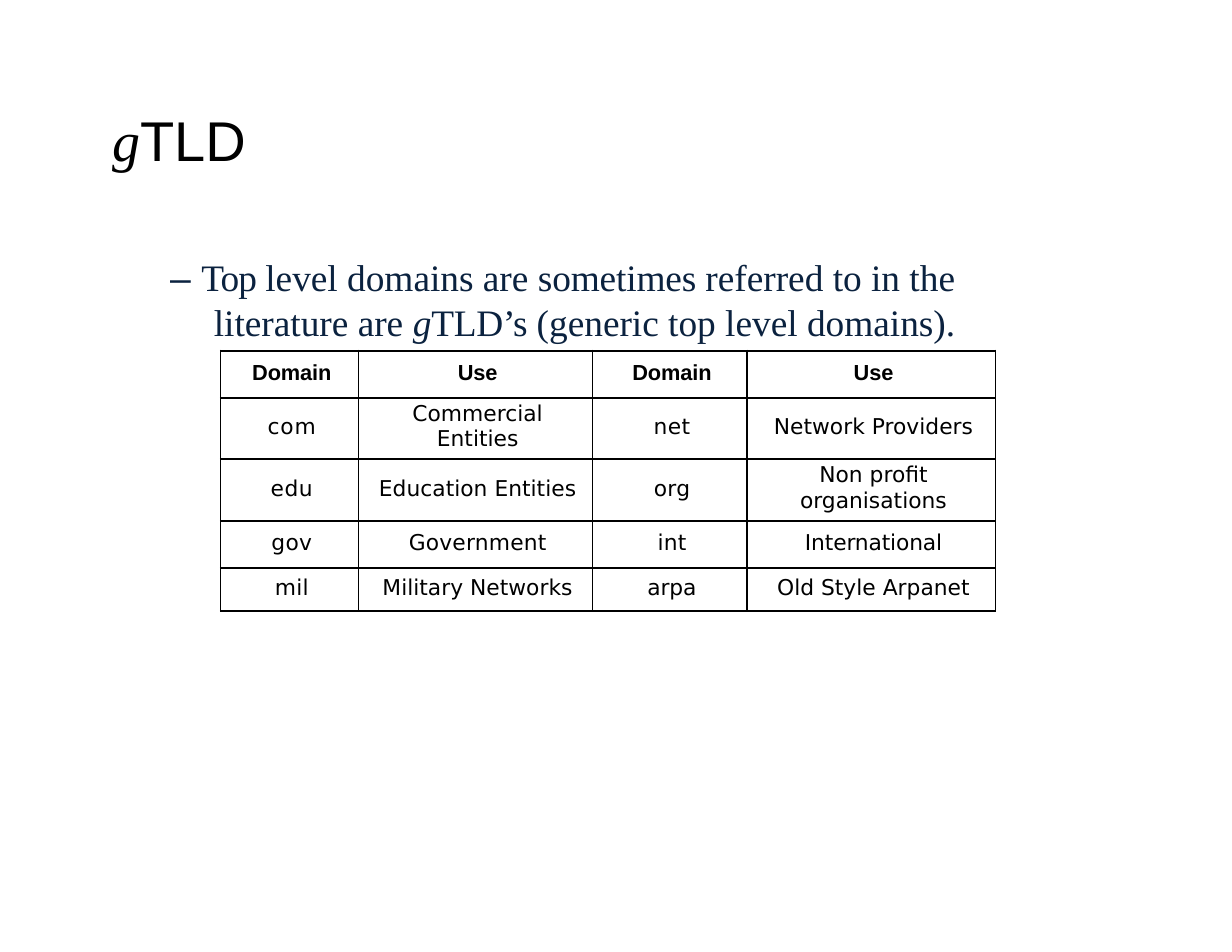
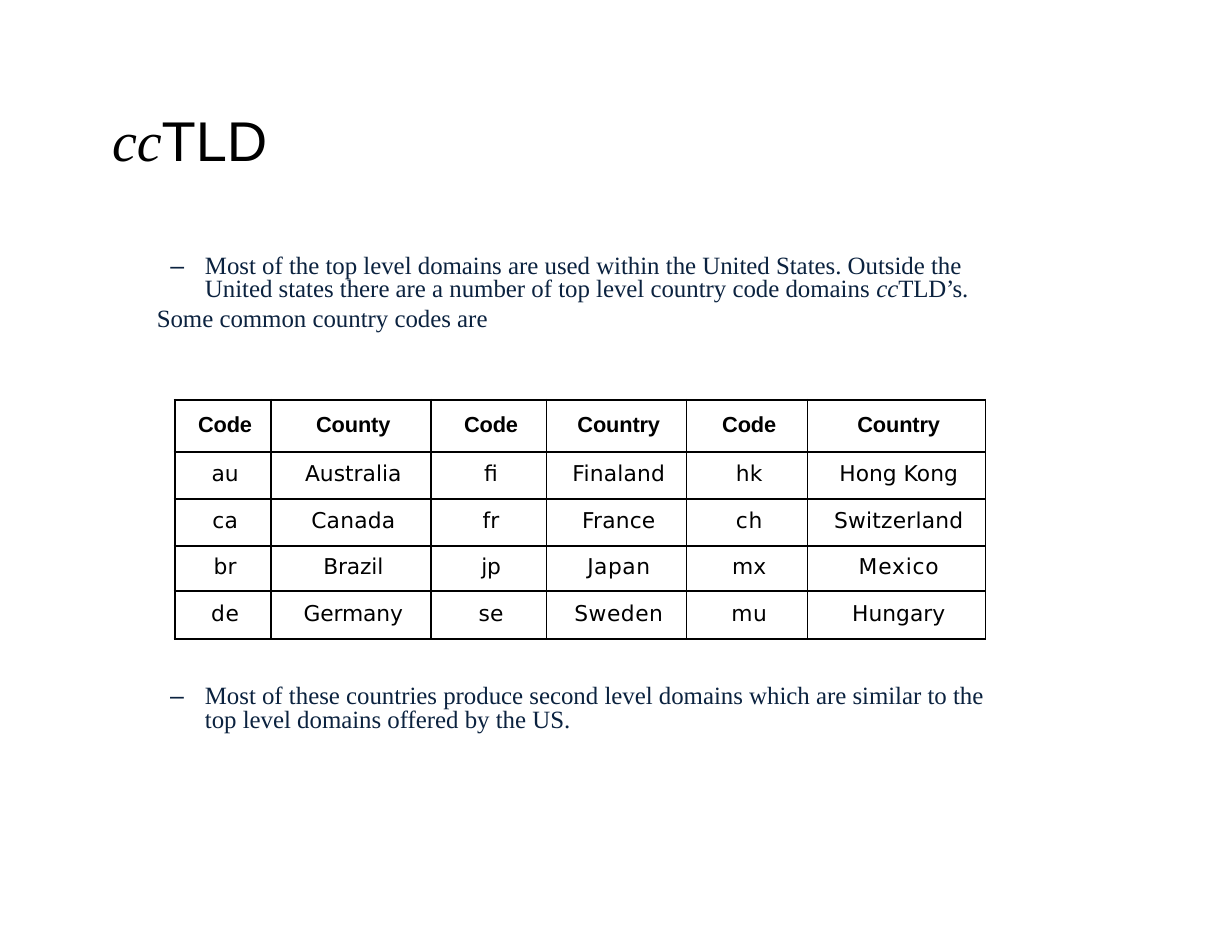
from dataclasses import dataclass

from lxml import etree
from pptx import Presentation
from pptx.dml.color import RGBColor
from pptx.enum.text import MSO_ANCHOR, PP_ALIGN
from pptx.oxml.ns import qn
from pptx.util import Inches, Pt

CENTER = PP_ALIGN.CENTER
MIDDLE = MSO_ANCHOR.MIDDLE

BLACK = "000000"
NAVY = "0B223F"
SANS = "Arial"
SERIF = "Times New Roman"
CELL_FONT = "DejaVu Sans"

CELL_INDENT = 0.04
WRAP_MARGIN = 0.3
WRAP_SPACE = 2.2
RULE_WIDTH = 1.5
DIVIDER_WIDTH = 1


@dataclass(frozen=True)
class Span:
    text: str
    font: str = SERIF
    italic: bool = False
    bold: bool = False
    spacing: float = 0


@dataclass(frozen=True)
class Para:
    spans: list[Span]
    size: float
    color: str = NAVY
    left: float = 0.01
    hanging: float = 0
    before: float = 0
    line_spacing: float | None = None


@dataclass(frozen=True)
class Cell:
    text: str
    spacing: float = 0
    wraps: bool = False


@dataclass(frozen=True)
class Row:
    height: float
    before: float
    cells: list[Cell]


@dataclass(frozen=True)
class DomainTable:
    left: float
    top: float
    widths: list[float]
    rows: list[Row]
    edge_width: float = DIVIDER_WIDTH


def rgb(color: str) -> RGBColor:
    return RGBColor.from_string(color)


def write_para(paragraph, para: Para) -> None:
    properties = paragraph._p.get_or_add_pPr()
    properties.set("marL", str(Inches(para.left)))
    properties.set("indent", str(Inches(-para.hanging)))
    paragraph.space_before = Pt(para.before)
    if para.line_spacing:
        paragraph.line_spacing = para.line_spacing
    for span in para.spans:
        run = paragraph.add_run()
        run.text = span.text
        run.font.name = span.font
        run.font.size = Pt(para.size)
        run.font.italic = span.italic
        run.font.bold = span.bold
        run.font.color.rgb = rgb(para.color)
        if span.spacing:
            run._r.get_or_add_rPr().set("spc", str(round(span.spacing * 100)))


def add_text(slide, left: float, top: float, width: float, height: float,
             paras: list[Para], anchor=None) -> None:
    """Add a text box whose top inset equals the space before its first paragraph."""
    frame = slide.shapes.add_textbox(
        Inches(left), Inches(top), Inches(width), Inches(height)).text_frame
    frame.word_wrap = True
    frame.margin_left = frame.margin_right = frame.margin_bottom = 0
    frame.margin_top = Pt(paras[0].before)
    if anchor is not None:
        frame.vertical_anchor = anchor
    for index, para in enumerate(paras):
        paragraph = frame.add_paragraph() if index else frame.paragraphs[0]
        write_para(paragraph, para)


def add_title(slide, prefix: str, width: float) -> None:
    spans = [Span(prefix, italic=True), Span("TLD", SANS)]
    add_text(slide, 0.99, 0.92, width, 0.63,
             [Para(spans, 36, BLACK, before=1)], MIDDLE)


def add_border(cell, side: str, width: float) -> None:
    line = etree.SubElement(cell._tc.get_or_add_tcPr(), qn(f"a:{side}"),
                            w=str(Pt(width)))
    fill = etree.SubElement(line, qn("a:solidFill"))
    etree.SubElement(fill, qn("a:srgbClr"), val=BLACK)


def add_domain_table(slide, spec_table: DomainTable) -> None:
    rows, widths = spec_table.rows, spec_table.widths
    table = slide.shapes.add_table(
        len(rows), len(widths), Inches(spec_table.left), Inches(spec_table.top),
        Inches(sum(widths)), Inches(sum(row.height for row in rows))).table
    table.first_row = table.horz_banding = False
    for column, width in zip(table.columns, widths):
        column.width = Inches(width)
    for row_index, row in enumerate(rows):
        table.rows[row_index].height = Inches(row.height)
        for column_index, content in enumerate(row.cells):
            cell = table.cell(row_index, column_index)
            before = WRAP_SPACE if content.wraps else row.before
            side_margin = Inches(WRAP_MARGIN if content.wraps else 0)
            cell.margin_left = cell.margin_right = side_margin
            cell.margin_top, cell.margin_bottom = Pt(before), 0
            is_header = row_index == 0
            span = Span(content.text, SANS if is_header else CELL_FONT,
                        bold=is_header, spacing=content.spacing)
            paragraph = cell.text_frame.paragraphs[0]
            paragraph.alignment = CENTER
            write_para(paragraph, Para([span], 14, BLACK, CELL_INDENT, before=before))
            left_width = DIVIDER_WIDTH if column_index else spec_table.edge_width
            add_border(cell, "lnL", left_width)
            add_border(cell, "lnR", DIVIDER_WIDTH)
            add_border(cell, "lnT", RULE_WIDTH)
            add_border(cell, "lnB", RULE_WIDTH)
            cell.fill.background()


def header_cells(*labels: str) -> list[Cell]:
    return [Cell(label, -0.1) for label in labels]


GENERIC_DOMAINS = DomainTable(1.97, 3.13, [1.23, 2.09, 1.38, 2.22], [
    Row(0.42, 6.3, header_cells("Domain", "Use", "Domain", "Use")),
    Row(0.55, 10.7, [Cell("com", 0.6), Cell("Commercial Entities", wraps=True),
                     Cell("net", 0.2), Cell("Network Providers")]),
    Row(0.55, 10.7, [Cell("edu", 0.3), Cell("Education Entities"),
                     Cell("org", 0.2), Cell("Non profit organisations", wraps=True)]),
    Row(0.42, 6, [Cell("gov", 0.2), Cell("Government", 0.1),
                  Cell("int", 0.1), Cell("International", -0.1)]),
    Row(0.39, 5, [Cell("mil", 0.1), Cell("Military Networks"),
                  Cell("arpa", -0.1), Cell("Old Style Arpanet")]),
])

COUNTRY_CODES = DomainTable(1.56, 3.57, [0.86, 1.43, 1.03, 1.25, 1.08, 1.59], [
    Row(0.47, 8.2, header_cells("Code", "County", "Code", "Country", "Code", "Country")),
    Row(0.42, 5.8, [Cell("au", -0.1), Cell("Australia"), Cell("fi", 0.2),
                    Cell("Finaland", 0.1), Cell("hk"), Cell("Hong Kong")]),
    Row(0.42, 5.8, [Cell("ca", 0.2), Cell("Canada", 0.1), Cell("fr"),
                    Cell("France", 0.1), Cell("ch", 0.5), Cell("Switzerland", 0.1)]),
    Row(0.4, 5.3, [Cell("br", 0.1), Cell("Brazil", -0.1), Cell("jp", -0.2),
                   Cell("Japan", 0.3), Cell("mx"), Cell("Mexico", 0.5)]),
    Row(0.43, 6.5, [Cell("de", 0.5), Cell("Germany", -0.1), Cell("se"),
                    Cell("Sweden", 0.3), Cell("mu", 0.3), Cell("Hungary")]),
], edge_width=RULE_WIDTH)


def dash_item(spans: list[Span], left: float) -> Para:
    return Para([Span("–\t", SANS), *spans], 16, left=left, hanging=0.31,
                before=4.8, line_spacing=0.8)


def build_generic_slide(slide) -> None:
    add_title(slide, "g", 1.25)
    add_text(slide, 1.5, 2.26, 7.1, 0.83, [Para([
        Span("– ", SANS),
        Span("Top ", spacing=-0.6),
        Span("level domains are "),
        Span("sometimes ", spacing=-0.1),
        Span("referred to in the literature are "),
        Span("g", italic=True, spacing=-0.2),
        Span("TLD’s ", spacing=-0.2),
        Span("(generic top level domains)."),
    ], 24, left=0.41, hanging=0.39, before=1)])
    add_domain_table(slide, GENERIC_DOMAINS)


def build_country_slide(slide) -> None:
    add_title(slide, "cc", 1.45)
    add_text(slide, 1.39, 2.21, 7.32, 0.78, [
        dash_item([
            Span("Most of the top level domains are used within the United States. "
                 "Outside the United states there are a number of top level "
                 "country code domains "),
            Span("cc", italic=True, spacing=-0.1),
            Span("TLD’s.", spacing=-0.1),
        ], 0.44),
        Para([Span("Some common country codes are")], 16),
    ])
    add_text(slide, 1.5, 6.05, 7.33, 0.51, [dash_item([
        Span("Most of these countries produce second level domains which are "
             "similar to the top level domains offered by the US."),
    ], 0.33)])
    add_domain_table(slide, COUNTRY_CODES)


def main() -> None:
    deck = Presentation()
    deck.slide_width, deck.slide_height = Inches(11), Inches(8.5)
    blank = deck.slide_layouts[6]
    for build in (build_generic_slide, build_country_slide):
        build(deck.slides.add_slide(blank))
    deck.save("out.pptx")


if __name__ == "__main__":
    main()
